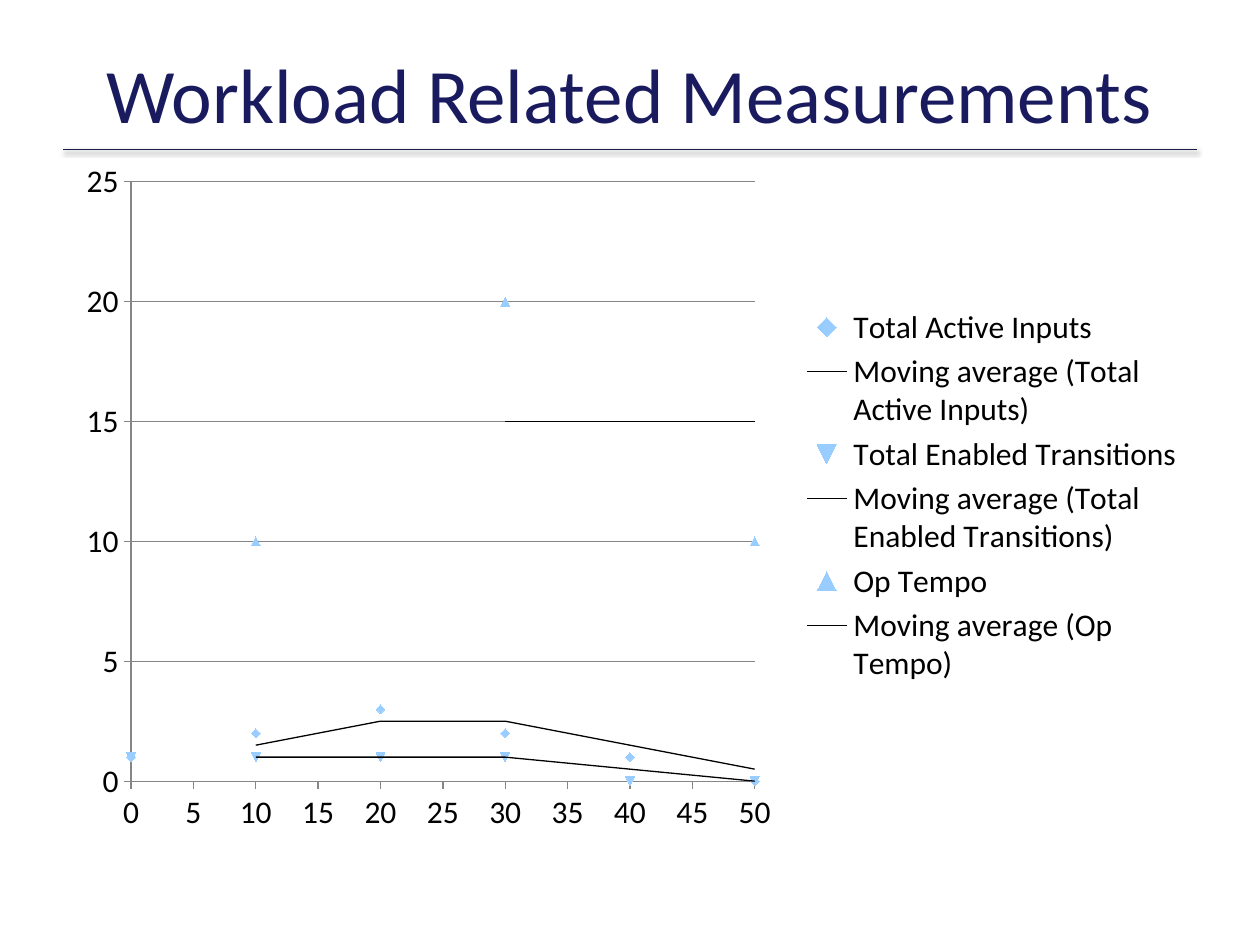
from lxml import etree
from pptx import Presentation
from pptx.chart.data import XyChartData
from pptx.dml.color import RGBColor
from pptx.enum import chart as charts, shapes, text
from pptx.oxml import ns, parse_xml
from pptx.util import Pt

PX = 914400 / 126
FONT = "Calibri"
NAVY = RGBColor(0x19, 0x1B, 0x5E)
RULE = RGBColor(0x1A, 0x1C, 0x47)
SKY = RGBColor(0x99, 0xCC, 0xFF)
GRAY = RGBColor(0x86, 0x86, 0x86)
BLACK = RGBColor(0, 0, 0)

TIMES = [0, 10, 20, 30, 40, 50]
MEASUREMENTS = {
    "Total Active Inputs": [1, 2, 3, 2, 1, 0],
    "Total Enabled Transitions": [1, 1, 1, 1, 0, 0],
    "Op Tempo": [None, 10, None, 20, None, 10],
}
# Plot area as fractions of the chart frame
PLOT = {"x": 0.06, "y": 0.05, "w": 0.55, "h": 0.86}


def px(length):
    return round(length * PX)


def format_font(font, size, color=BLACK):
    font.name = FONT
    font.size = Pt(size)
    font.color.rgb = color


def write_text(frame, words, size=18, color=BLACK, align=text.PP_ALIGN.LEFT):
    paragraph = frame.paragraphs[0]
    paragraph.alignment = align
    run = paragraph.add_run()
    run.text = words
    format_font(run.font, size, color)


def add_trendline(series):
    trendline = parse_xml(
        f'<c:trendline {ns.nsdecls("c", "a")}><c:spPr><a:ln w="9525"><a:solidFill>'
        f'<a:srgbClr val="{BLACK}"/></a:solidFill></a:ln></c:spPr>'
        '<c:trendlineType val="movingAvg"/><c:period val="2"/>'
        '<c:dispRSqr val="0"/><c:dispEq val="0"/></c:trendline>')
    series._element.find(ns.qn("c:xVal")).addprevious(trendline)


def drop_missing_points(series):
    for point in list(series._element.iter(ns.qn("c:pt"))):
        if point.findtext(ns.qn("c:v")) == "None":
            point.getparent().remove(point)


def place_plot(chart):
    plot_area = chart._chartSpace.find(".//" + ns.qn("c:plotArea"))
    for old in plot_area.findall(ns.qn("c:layout")):
        plot_area.remove(old)
    layout = etree.Element(ns.qn("c:layout"))
    manual = etree.SubElement(layout, ns.qn("c:manualLayout"))
    settings = {"layoutTarget": "inner", "xMode": "edge", "yMode": "edge", **PLOT}
    for name, value in settings.items():
        etree.SubElement(manual, ns.qn("c:" + name), val=str(value))
    plot_area.insert(0, layout)


class SlideBuilder:
    def __init__(self, presentation):
        self.slide = presentation.slides.add_slide(presentation.slide_layouts[6])

    def title(self, words, left, top, width, height):
        box = self.slide.shapes.add_textbox(px(left), px(top), px(width), px(height))
        frame = box.text_frame
        frame.word_wrap = True
        frame.vertical_anchor = text.MSO_ANCHOR.MIDDLE
        write_text(frame, words, size=44, color=NAVY, align=text.PP_ALIGN.CENTER)

    def rule(self, left, top, width):
        line = self.slide.shapes.add_connector(
            shapes.MSO_CONNECTOR.STRAIGHT, px(left), px(top), px(left + width), px(top))
        line.line.color.rgb = RULE
        line.line.width = Pt(0.25)
        line._element.spPr.append(parse_xml(
            f'<a:effectLst {ns.nsdecls("a")}><a:outerShdw blurRad="{Pt(3.1)}" '
            f'dist="{Pt(1.6)}" dir="5400000" rotWithShape="0"><a:srgbClr val="000000">'
            '<a:alpha val="38000"/></a:srgbClr></a:outerShdw></a:effectLst>'))

    def scatter(self, times, measurements, left, top, width, height):
        data = XyChartData()
        for name, values in measurements.items():
            series = data.add_series(name)
            for time, value in zip(times, values):
                series.add_data_point(time, value)
        chart = self.slide.shapes.add_chart(
            charts.XL_CHART_TYPE.XY_SCATTER, px(left), px(top), px(width), px(height),
            data).chart
        format_font(chart.font, 10)
        chart.has_title = False
        place_plot(chart)

        # Markers without a joining line, each with a moving average
        for series in chart.plots[0].series:
            series.format.line.fill.background()
            series.marker.size = 5
            series.marker.format.fill.solid()
            series.marker.format.fill.fore_color.rgb = SKY
            series.marker.format.line.fill.background()
            drop_missing_points(series)
            add_trendline(series)
        chart.plots[0].series[0].marker.style = charts.XL_MARKER_STYLE.DIAMOND
        chart.plots[0].series[2].marker.style = charts.XL_MARKER_STYLE.TRIANGLE

        # Axes
        for axis, maximum in ((chart.category_axis, 50), (chart.value_axis, 25)):
            axis.minimum_scale = 0
            axis.maximum_scale = maximum
            axis.major_unit = 5
            axis.major_tick_mark = charts.XL_TICK_MARK.OUTSIDE
            axis.minor_tick_mark = charts.XL_TICK_MARK.NONE
            axis.format.line.color.rgb = GRAY
            axis.format.line.width = Pt(0.75)
            format_font(axis.tick_labels.font, 18)
        chart.category_axis.has_major_gridlines = False
        gridlines = chart.value_axis.major_gridlines.format.line
        gridlines.color.rgb = GRAY
        gridlines.width = Pt(0.75)

        # Legend
        chart.has_legend = True
        chart.legend.position = charts.XL_LEGEND_POSITION.RIGHT
        chart.legend.include_in_layout = False
        format_font(chart.legend.font, 18)


def main():
    presentation = Presentation()
    presentation.slide_width = px(1260)
    presentation.slide_height = px(945)
    builder = SlideBuilder(presentation)
    builder.rule(63, 149, 1134)
    builder.title("Workload Related Measurements", 63, 38, 1134, 110)
    builder.scatter(TIMES, MEASUREMENTS, 63, 147, 1134, 697)
    presentation.save("out.pptx")


if __name__ == "__main__":
    main()
